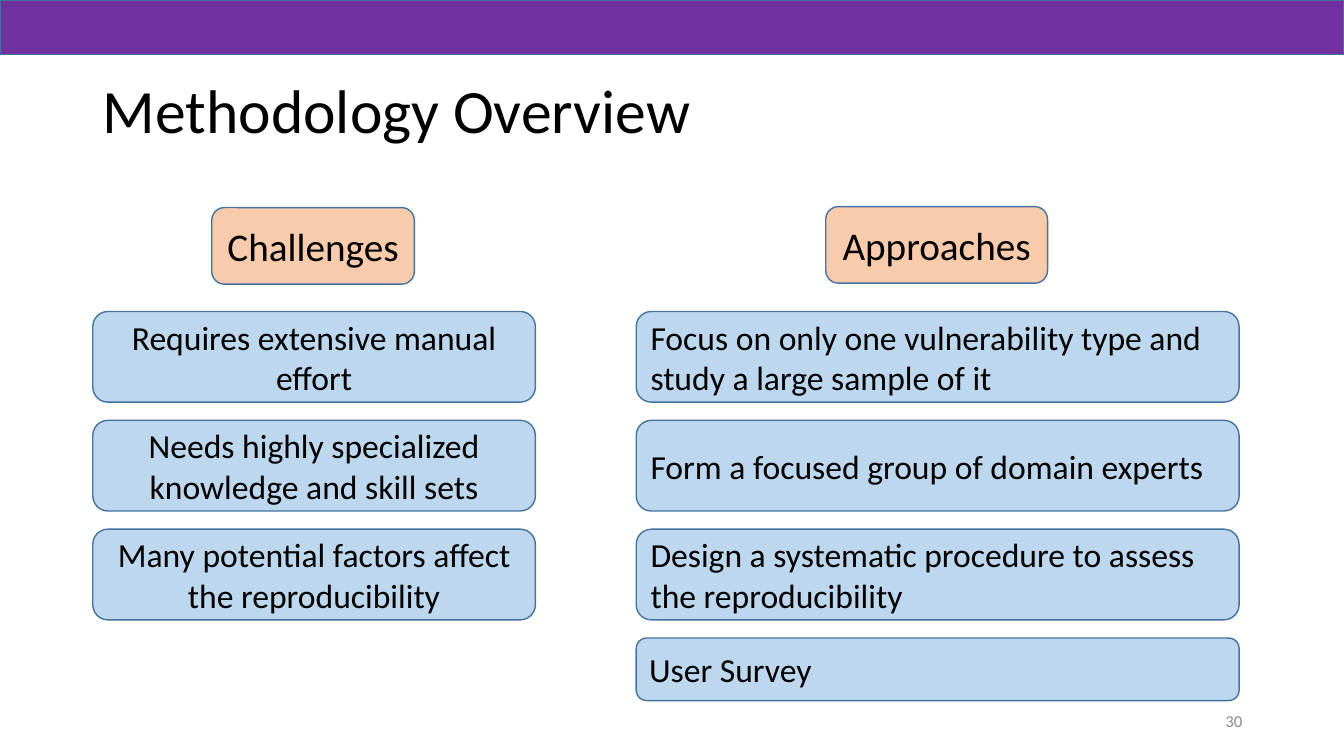
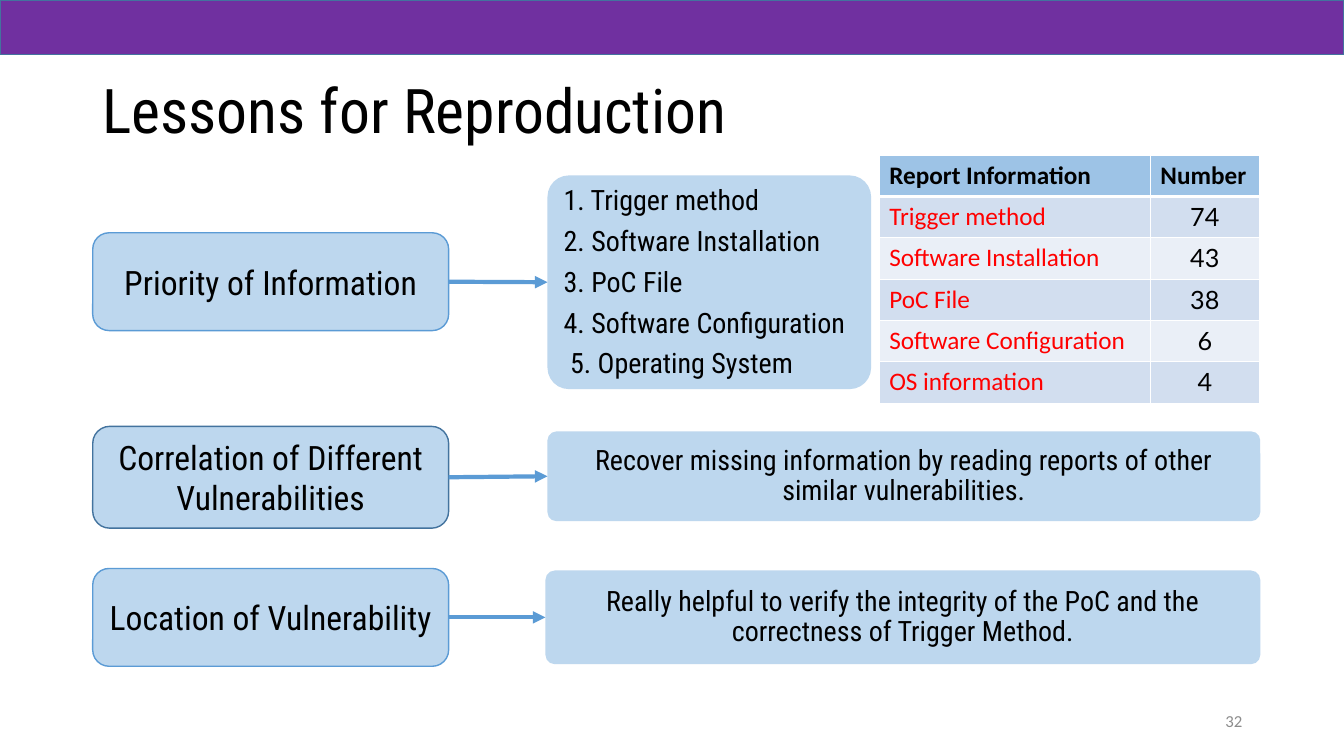
from lxml import etree
from pptx import Presentation
from pptx.dml.color import RGBColor
from pptx.enum.shapes import MSO_CONNECTOR, MSO_SHAPE
from pptx.enum.text import MSO_ANCHOR, PP_ALIGN
from pptx.oxml.ns import qn
from pptx.util import Inches, Pt

LEFT, CENTER, RIGHT = PP_ALIGN.LEFT, PP_ALIGN.CENTER, PP_ALIGN.RIGHT
TOP, MIDDLE = MSO_ANCHOR.TOP, MSO_ANCHOR.MIDDLE
RECTANGLE, ROUNDED = MSO_SHAPE.RECTANGLE, MSO_SHAPE.ROUNDED_RECTANGLE
STRAIGHT = MSO_CONNECTOR.STRAIGHT

PURPLE = RGBColor(0x70, 0x30, 0xA0)
OUTLINE = RGBColor(0x43, 0x73, 0x9E)
BLUE = RGBColor(0x5B, 0x9B, 0xD5)
PALE_BLUE = RGBColor(0xBD, 0xD7, 0xEE)
PEACH = RGBColor(0xF8, 0xCB, 0xAD)
HEADER_BLUE = RGBColor(0x9D, 0xC3, 0xE6)
BANDS = RGBColor(0xD2, 0xDE, 0xEF), RGBColor(0xEA, 0xEF, 0xF7)
BLACK = RGBColor(0, 0, 0)
WHITE = RGBColor(0xFF, 0xFF, 0xFF)
RED = RGBColor(0xFF, 0, 0)
GRAY = RGBColor(0x8C, 0x8C, 0x8C)

CALIBRI, CONDENSED, LATO = "Calibri", "Roboto Condensed", "Lato"
SLIDE_WIDTH, SLIDE_HEIGHT = 13.33, 7.5
MARGIN = 0.92

# Content: methodology columns
BOX_TOP, BOX_HEIGHT, BOX_PITCH = 3.09, 0.9, 1.08
COLUMNS = [
    {"heading": "Challenges", "heading_at": (2.1, 2.06, 2.01, 0.76),
     "left": MARGIN, "width": 4.39, "align": CENTER,
     "boxes": [("Requires extensive manual effort", BOX_HEIGHT),
               ("Needs highly specialized knowledge and skill sets", BOX_HEIGHT),
               ("Many potential factors affect the reproducibility", BOX_HEIGHT)]},
    {"heading": "Approaches", "heading_at": (8.19, 2.05, 2.2, 0.76),
     "left": 6.31, "width": 5.98, "align": LEFT,
     "boxes": [("Focus on only one vulnerability type and study a large sample of it",
                BOX_HEIGHT),
               ("Form a focused group of domain experts", BOX_HEIGHT),
               ("Design a systematic procedure to assess the reproducibility",
                BOX_HEIGHT),
               ("User Survey", 0.62)]},
]

# Content: lessons, each a topic (top, height, outline) and its detail box
TOPIC_WIDTH = 3.53
LESSONS = [
    {"topic": "Priority of Information", "topic_at": (2.31, 0.97), "line": BLUE,
     "detail": ["1. Trigger method", "2. Software Installation", "3. PoC File",
                "4. Software Configuration", " 5. Operating System"],
     "detail_at": (5.43, 1.74, 3.21, 2.12),
     "detail_format": {"anchor": TOP}},
    {"topic": "Correlation of Different Vulnerabilities",
     "topic_at": (4.23, 1.01), "line": OUTLINE,
     "detail": "Recover missing information by reading reports of other "
               "similar vulnerabilities.",
     "detail_at": (5.43, 4.28, 7.07, 0.89),
     "detail_format": {"align": CENTER, "margin": 0.14}},
    {"topic": "Location of Vulnerability", "topic_at": (5.64, 0.97), "line": BLUE,
     "detail": "Really helpful to verify the integrity of the PoC and the "
               "correctness of Trigger Method.",
     "detail_at": (5.41, 5.66, 7.09, 0.93),
     "detail_format": {"align": CENTER, "margin": 0.17}},
]
TABLE_AT = (8.72, 1.54)
TABLE_COLUMNS = (2.69, 1.08)
ROW_HEIGHT = 0.41
REPORT_ROWS = [
    ("Report Information", "Number"),
    ("Trigger method", "74"),
    ("Software Installation", "43"),
    ("PoC File", "38"),
    ("Software Configuration", "6"),
    ("OS information", "4"),
]


def inches(values):
    return [Inches(value) for value in values]


def write(frame, text, size=24, font=CALIBRI, color=BLACK, bold=False,
          align=LEFT, spacing=None, after=None):
    """Fill a text frame with one paragraph, or one for each list item."""
    lines = [text] if isinstance(text, str) else text
    frame.word_wrap = True
    for index, line in enumerate(lines):
        paragraph = frame.add_paragraph() if index else frame.paragraphs[0]
        paragraph.alignment = align
        paragraph.line_spacing = spacing
        if after is not None:
            paragraph.space_after = Pt(after)
        run = paragraph.add_run()
        run.text = line
        run.font.size, run.font.name, run.font.bold = Pt(size), font, bold
        run.font.color.rgb = color


def add_label(slide, at, text, **text_format):
    frame = slide.shapes.add_textbox(*inches(at)).text_frame
    frame.vertical_anchor = MIDDLE
    write(frame, text, **text_format)


def add_box(slide, at, text=None, kind=ROUNDED, fill=PALE_BLUE, line=OUTLINE,
            corner=None, anchor=MIDDLE, margin=0.1, **text_format):
    shape = slide.shapes.add_shape(kind, *inches(at))
    shape.shadow.inherit = False
    shape.fill.solid()
    shape.fill.fore_color.rgb = fill
    if line is None:
        shape.line.fill.background()
    else:
        shape.line.color.rgb = line
        shape.line.width = Pt(1)
    if corner is not None:
        shape.adjustments[0] = corner
    if text:
        frame = shape.text_frame
        frame.vertical_anchor = anchor
        frame.margin_left = frame.margin_right = Inches(margin)
        write(frame, text, **text_format)


def add_arrow(slide, *ends):
    connector = slide.shapes.add_connector(STRAIGHT, *inches(ends))
    connector.line.color.rgb = BLUE
    connector.line.width = Pt(3)
    properties = connector._element.spPr
    etree.SubElement(properties.find(qn("a:ln")), qn("a:tailEnd"), type="triangle")
    etree.SubElement(properties, qn("a:effectLst"))


def set_borders(cell, **widths):
    """Draw white cell borders; widths are points by side."""
    properties = cell._tc.get_or_add_tcPr()
    for index, (side, width) in enumerate(widths.items()):
        border = etree.Element(qn("a:ln" + side), w=str(Pt(width)))
        fill = etree.SubElement(border, qn("a:solidFill"))
        etree.SubElement(fill, qn("a:srgbClr"), val=str(WHITE))
        properties.insert(index, border)


def add_report_table(slide):
    table = slide.shapes.add_table(
        len(REPORT_ROWS), len(TABLE_COLUMNS),
        *inches((*TABLE_AT, sum(TABLE_COLUMNS), ROW_HEIGHT * len(REPORT_ROWS)))).table
    for column, width in zip(table.columns, TABLE_COLUMNS):
        column.width = Inches(width)
    body_formats = ({"color": RED}, {"font": LATO, "align": CENTER})
    for row_index, values in enumerate(REPORT_ROWS):
        table.rows[row_index].height = Inches(ROW_HEIGHT)
        header = row_index == 0
        for column_index, value in enumerate(values):
            cell = table.cell(row_index, column_index)
            cell.fill.solid()
            cell.fill.fore_color.rgb = HEADER_BLUE if header else BANDS[(row_index - 1) % 2]
            text_format = {"bold": True} if header else body_formats[column_index]
            write(cell.text_frame, value, size=18, **text_format)
            set_borders(cell, L=1, R=1, T=3 if row_index == 1 else 1,
                        B=3 if header else 1)


def add_slide(presentation, title, number, font):
    """Add a slide with the shared title, band and page number."""
    slide = presentation.slides.add_slide(presentation.slide_layouts[6])
    add_label(slide, (MARGIN, 0.4, 11.5, 1.45), title, size=44, font=font, spacing=0.9)
    add_box(slide, (0, 0, SLIDE_WIDTH, 0.54), kind=RECTANGLE, fill=PURPLE)
    add_label(slide, (9.42, 6.95, 3, 0.4), number, size=12, color=GRAY, align=RIGHT)
    return slide


def build_methodology(presentation):
    slide = add_slide(presentation, "Methodology Overview", "30", CALIBRI)
    for column in COLUMNS:
        add_box(slide, column["heading_at"], column["heading"], fill=PEACH,
                size=28, align=CENTER)
        for index, (text, height) in enumerate(column["boxes"]):
            top = BOX_TOP + index * BOX_PITCH
            add_box(slide, (column["left"], top, column["width"], height), text,
                    align=column["align"])


def build_lessons(presentation):
    slide = add_slide(presentation, "Lessons for Reproduction", "32", CONDENSED)
    for lesson in LESSONS:
        topic_top, topic_height = lesson["topic_at"]
        add_box(slide, (MARGIN, topic_top, TOPIC_WIDTH, topic_height), lesson["topic"],
                line=lesson["line"], font=CONDENSED, align=CENTER)
        left, top, _, height = lesson["detail_at"]
        add_box(slide, lesson["detail_at"], lesson["detail"], line=None, corner=0.1,
                size=20, font=CONDENSED, spacing=0.9, after=7.5,
                **lesson["detail_format"])
        add_arrow(slide, MARGIN + TOPIC_WIDTH, topic_top + topic_height / 2,
                  left, top + height / 2)
    add_report_table(slide)


def main():
    presentation = Presentation()
    presentation.slide_width = Inches(SLIDE_WIDTH)
    presentation.slide_height = Inches(SLIDE_HEIGHT)
    build_methodology(presentation)
    build_lessons(presentation)
    presentation.save("out.pptx")


if __name__ == "__main__":
    main()
